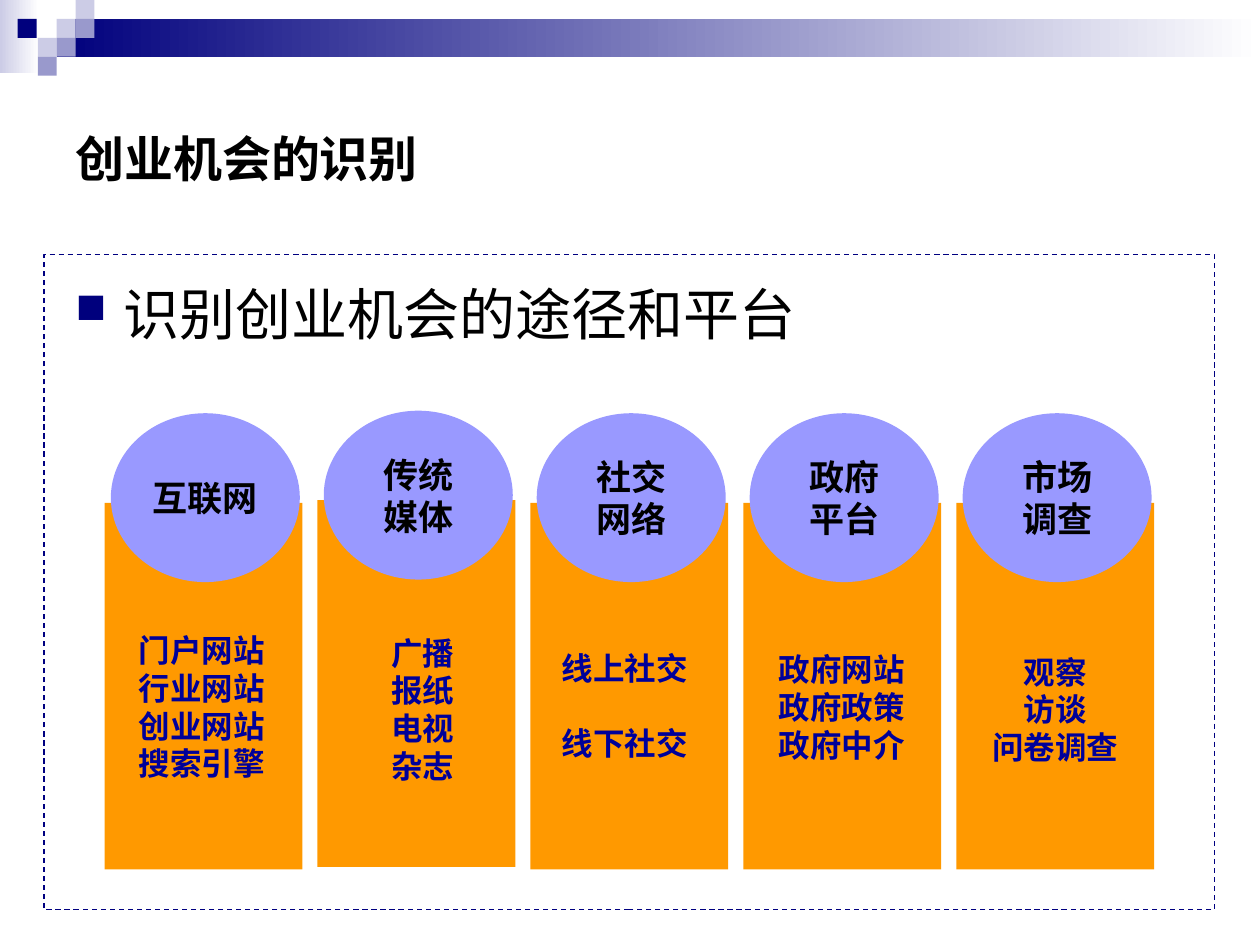
from pptx import Presentation
from pptx import util as u
from pptx.dml.color import RGBColor
from pptx.enum import dml, shapes, text
from pptx.oxml import parse_xml
from pptx.oxml.ns import nsdecls

COLORS = {
    "navy": "00007D", "pale": "CCCCE6", "mid": "9999CC", "white": "FFFFFF",
    "black": "000000", "orange": "FF9900", "violet": "9999FF",
    "blue": "000099", "frame": "000080",
}
SANS, CJK = "Arial", "Noto Sans CJK SC"
RECT, OVAL = shapes.MSO_SHAPE.RECTANGLE, shapes.MSO_SHAPE.OVAL
MID, TOP = text.MSO_ANCHOR.MIDDLE, text.MSO_ANCHOR.TOP
CENTER, LEFT = text.PP_ALIGN.CENTER, text.PP_ALIGN.LEFT

# Head, drop of the column, lines, label left, top and width, gap in points
COLUMNS = [
    ("互联网", 0, "门户网站\n行业网站\n创业网站\n搜索引擎", 0.88, 4.96, 1.44, 0),
    ("传统\n媒体", -0.02, "广播\n报纸\n电视\n杂志", 2.65, 4.98, 1.41, 0),
    ("社交\n网络", 0, "线上社交\n线下社交", 4.29, 5.1, 1.34, 21.6),
    ("政府\n平台", 0, "政府网站\n政府政策\n政府中介", 5.92, 5.11, 1.52, 0),
    ("市场\n调查", 0, "观察\n访谈\n问卷调查", 7.58, 5.13, 1.59, 0),
]
# Left, top and colour of the corner squares
SQUARES = [
    (0.45, 0.15, "pale"), (0.6, 0, "pale"), (0.6, 0.15, "mid"),
    (0.3, 0.3, "pale"), (0.14, 0.15, "navy"), (0.45, 0.3, "mid"),
    (0.3, 0.45, "mid"),
]


def rgb(name):
    return RGBColor.from_string(COLORS[name])


def place(box):
    return [u.Inches(n) for n in box]


def add_block(slide, box, fill=None, kind=RECT):
    block = slide.shapes.add_shape(kind, *place(box))
    block.shadow.inherit = False
    block.line.fill.background()
    if fill:
        block.fill.solid()
        block.fill.fore_color.rgb = rgb(fill)
    else:
        block.fill.background()
    return block


def add_fade(slide, box, start):
    block = add_block(slide, box)
    block.fill.gradient()
    block.fill.gradient_angle = 0
    for stop, name in zip(block.fill.gradient_stops, (start, "white")):
        stop.color.rgb = rgb(name)


def add_bullet(para):
    props = para._p.get_or_add_pPr()
    props.set("marL", str(u.Inches(0.38)))
    props.set("indent", str(u.Inches(-0.38)))
    for part in (
        f'<a:buClr {nsdecls("a")}><a:srgbClr val="{COLORS["navy"]}"/></a:buClr>',
        f'<a:buSzPct {nsdecls("a")} val="75000"/>',
        f'<a:buChar {nsdecls("a")} char="■"/>',
    ):
        props.append(parse_xml(part))


def write(shape, words, size, color="black", bold=True, font=SANS,
          align=CENTER, anchor=MID, gap=0, bullet=False):
    frame = shape.text_frame
    frame.word_wrap = True
    frame.vertical_anchor = anchor
    for i, line in enumerate(words.split("\n")):
        para = frame.paragraphs[0] if i == 0 else frame.add_paragraph()
        para.alignment = align
        para.line_spacing = u.Pt(1.2 * size)
        if i and gap:
            para.space_before = u.Pt(gap)
        if bullet:
            add_bullet(para)
        run = para.add_run()
        run.text = line
        run.font.size, run.font.bold = u.Pt(size), bold
        run.font.name = font
        run.font.color.rgb = rgb(color)
        run._r.get_or_add_rPr().append(
            parse_xml(f'<a:ea {nsdecls("a")} typeface="{CJK}"/>'))


def add_text(slide, box, words, size, **form):
    write(slide.shapes.add_textbox(*place(box)), words, size, **form)


def add_banner(slide):
    add_fade(slide, (0, 0, 0.31, 0.58), "pale")
    add_fade(slide, (0.45, 0.15, 9.55, 0.3), "navy")
    for left, top, fill in SQUARES:
        add_block(slide, (left, top, 0.15, 0.15), fill)


def add_columns(slide):
    for i, (head, drop, *_) in enumerate(COLUMNS):
        left = 0.83 + 1.69 * i
        add_block(slide, (left, 3.99 + drop, 1.57, 2.91), "orange")
        oval = add_block(slide, (left + 0.05, 3.28 + drop, 1.5, 1.34),
                         "violet", OVAL)
        write(oval, head, 20)
    for _, _, lines, left, top, width, gap in COLUMNS:
        count = lines.count("\n") + 1
        height = 0.1 + 0.3 * count + gap / 72
        add_text(slide, (left, top, width, height), lines, 18,
                 color="blue", anchor=TOP, gap=gap)


def add_frame(slide):
    frame = add_block(slide, (0.35, 2.02, 9.29, 5.2))
    frame.line.color.rgb = rgb("frame")
    frame.line.width = u.Pt(0.75)
    frame.line.dash_style = dml.MSO_LINE.DASH


def main():
    deck = Presentation()
    deck.slide_width, deck.slide_height = u.Inches(10), u.Inches(7.5)
    slide = deck.slides.add_slide(deck.slide_layouts[6])

    # Banner
    add_banner(slide)
    # Title and lead line
    add_text(slide, (0.5, 0.5, 9, 1.5), "创业机会的识别", 28,
             font=CJK, align=LEFT)
    add_text(slide, (0.5, 2.17, 9, 0.72), "识别创业机会的途径和平台", 32,
             bold=False, align=LEFT, anchor=TOP, bullet=True)
    # Columns inside a dashed frame
    add_columns(slide)
    add_frame(slide)

    deck.save("out.pptx")


if __name__ == "__main__":
    main()
